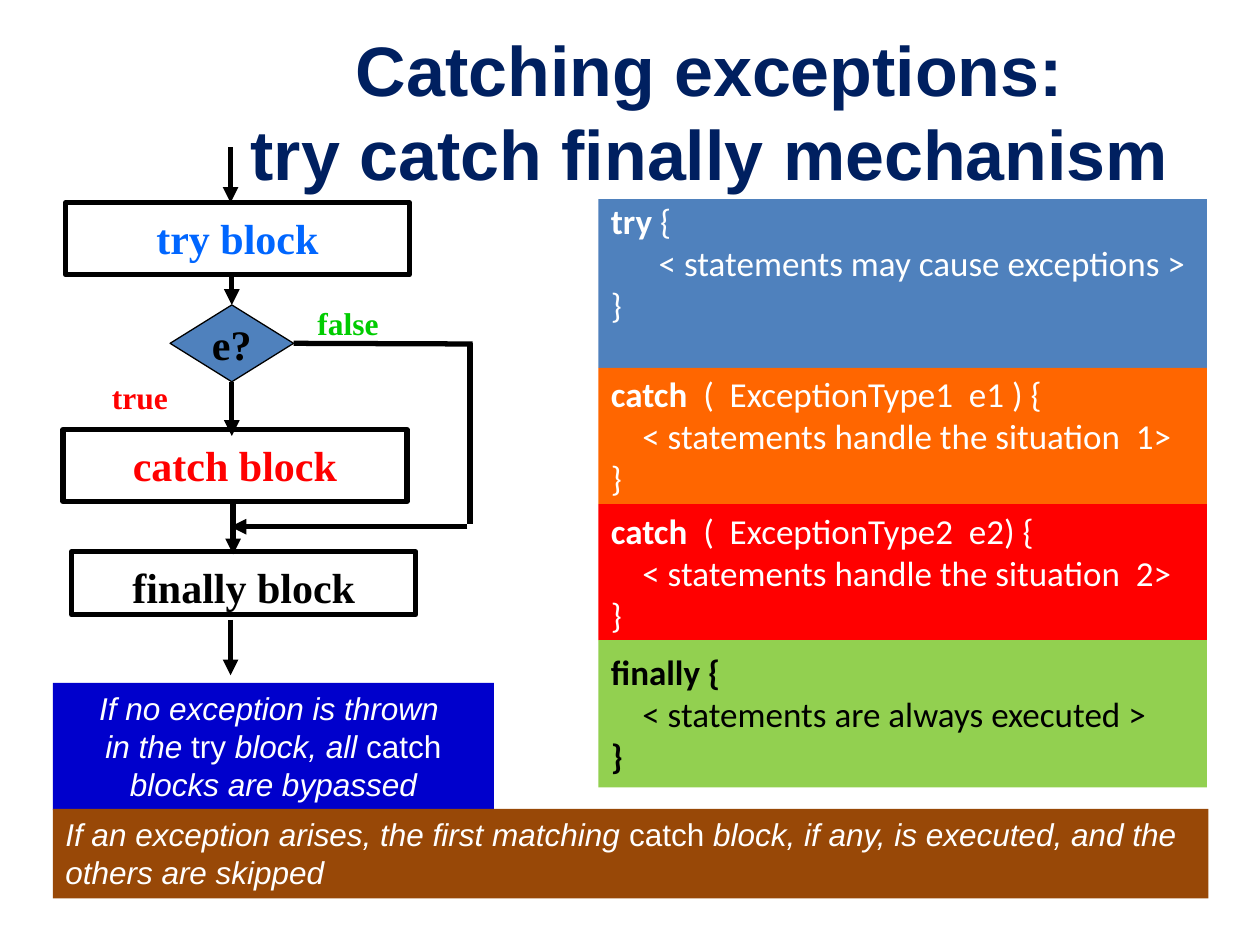
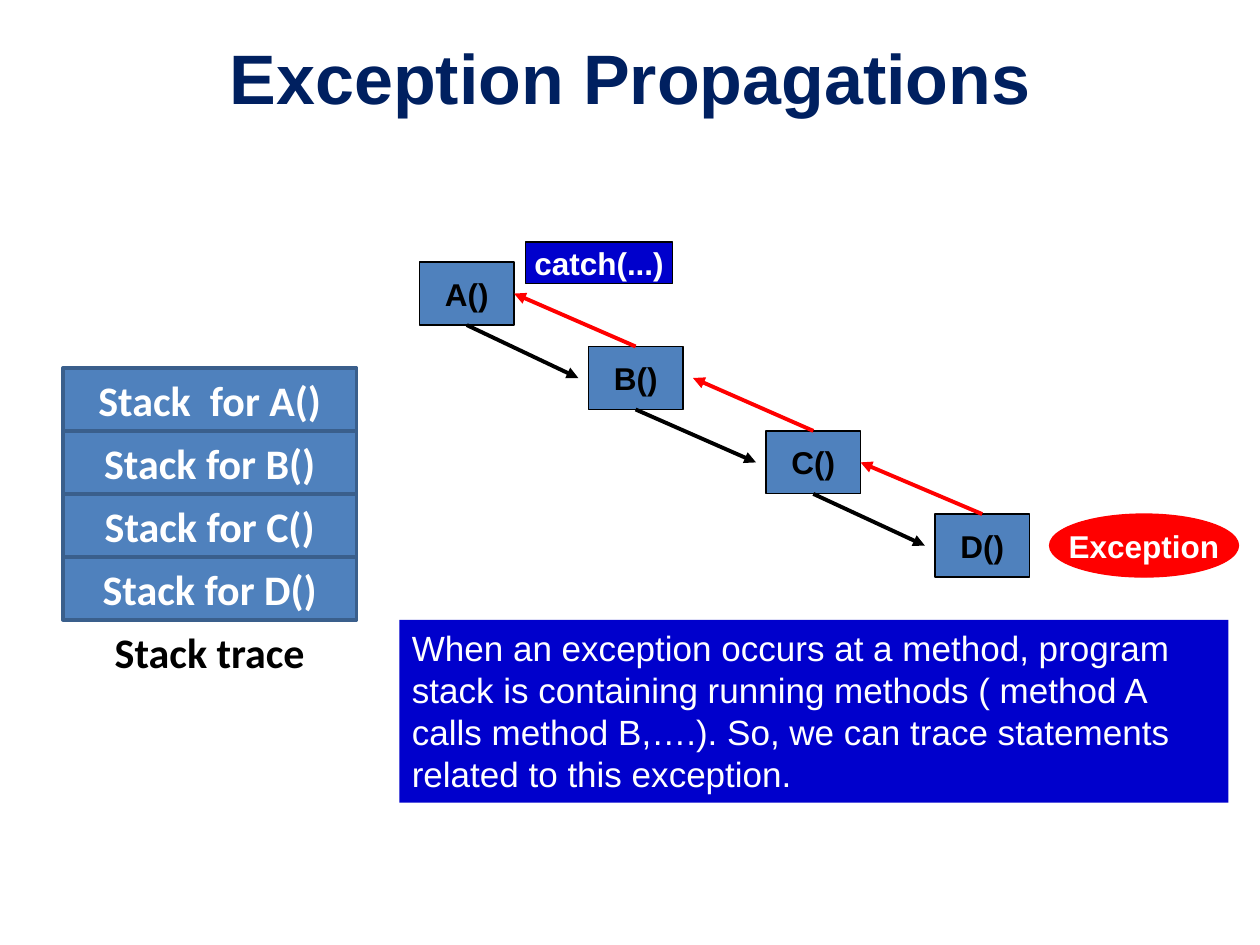
import pptx
import pptx.dml.color
import pptx.enum.shapes
import pptx.enum.text
import pptx.oxml
import pptx.util
from pptx.oxml.ns import qn
from lxml import etree

Inches = pptx.util.Inches
Pt = pptx.util.Pt
SHAPE = pptx.enum.shapes.MSO_SHAPE
ALIGN = pptx.enum.text.PP_ALIGN
ANCHOR = pptx.enum.text.MSO_ANCHOR

NAVY, BLUE, DEEP_BLUE, STACK_EDGE = "002060", "4F81BD", "0000CC", "3A5F8C"
RED, ORANGE, GREEN, BROWN = "FF0000", "FF6600", "92D050", "984807"
WHITE, BLACK = "FFFFFF", "000000"
SANS, BODY, SERIF = "Arial", "Calibri", "Times New Roman"
TOP, LEFT, BOTTOM, RIGHT = range(4)


def rgb(color):
    return pptx.dml.color.RGBColor.from_string(color)


def write(tf, paras, size, font, color, align=ALIGN.LEFT, indents=None):
    """Fill tf; each paragraph is a list of (text, style), style holding b and/or i."""
    for n, runs in enumerate(paras):
        p = tf.paragraphs[0] if n == 0 else tf.add_paragraph()
        p.alignment = align
        if indents and indents[n]:
            p._p.get_or_add_pPr().set("marL", str(Inches(indents[n])))
        for text, style in runs:
            for k, line in enumerate(text.split("\n")):
                if k:
                    p.add_line_break()
                r = p.add_run()
                r.text = line
                r.font.name, r.font.size = font, Pt(size)
                r.font.bold, r.font.italic = "b" in style, "i" in style
                r.font.color.rgb = rgb(color)


def add_title_slide(prs, title, at):
    slide = prs.slides.add_slide(prs.slide_layouts[5])
    sp = slide.shapes.title
    sp.left, sp.top, sp.width, sp.height = map(Inches, at)
    sp.text_frame.vertical_anchor = ANCHOR.MIDDLE
    write(sp.text_frame, [[(title, "b")]], 40, SANS, NAVY, ALIGN.CENTER)
    return slide


def add_box(slide, at, paras, size, font, color, fill=None, line=None, width=0.75,
            kind=SHAPE.RECTANGLE, align=ALIGN.CENTER, anchor=ANCHOR.MIDDLE,
            wrap=True, top=0.05, indents=None):
    sp = slide.shapes.add_shape(kind, *map(Inches, at))
    sp.shadow.inherit = False
    if fill:
        sp.fill.solid()
        sp.fill.fore_color.rgb = rgb(fill)
    else:
        sp.fill.background()
    if line:
        sp.line.color.rgb = rgb(line)
        sp.line.width = Pt(width)
    else:
        sp.line.fill.background()
    tf = sp.text_frame
    tf.word_wrap = wrap
    tf.vertical_anchor = anchor
    tf.margin_top = Inches(top)
    write(tf, paras, size, font, color, align, indents)
    return sp


def add_label(slide, at, text, color):
    tf = slide.shapes.add_textbox(*map(Inches, at)).text_frame
    tf.word_wrap = True
    tf.margin_top = Inches(0.07)
    write(tf, [[(text, "b")]], 18, SERIF, color)


def add_line(slide, start, end, color=BLACK, width=3, arrow="tailEnd", begin=None, finish=None):
    """Draw a line; arrow is headEnd, tailEnd or None, begin and finish are (shape, side)."""
    cx = slide.shapes.add_connector(pptx.enum.shapes.MSO_CONNECTOR.STRAIGHT,
                                    *map(Inches, start + end))
    if begin:
        cx.begin_connect(*begin)
    if finish:
        cx.end_connect(*finish)
    cx.line.color.rgb = rgb(color)
    cx.line.width = Pt(width)
    if arrow:
        etree.SubElement(cx.line._get_or_add_ln(), qn("a:" + arrow)).set("type", "triangle")
    etree.SubElement(cx._element.spPr, qn("a:effectLst"))


def add_code_blocks(slide):
    blocks = [
        (1.58, 1.34, BLUE, WHITE, [("try ", "b"), ("{", "")],
         "< statements may cause exceptions >", 0.38, "}"),
        (2.92, 1.08, ORANGE, WHITE, [("catch", "b"), ("  (  ExceptionType1  e1 ) {", "")],
         "< statements handle the situation  1>", 0.25, "}"),
        (4, 1.08, RED, WHITE, [("catch", "b"), ("  (  ExceptionType2  e2) {", "")],
         "< statements handle the situation  2>", 0.25, "}"),
        (5.08, 1.17, GREEN, BLACK, [("finally {", "b")],
         "< statements are always executed >", 0.25, "}"),
    ]
    for y, height, fill, color, opening, statement, indent, closing in blocks:
        is_try, is_finally = fill == BLUE, fill == GREEN
        paras = [opening, [(statement, "")], [(closing, "b" if is_finally else "")]]
        add_box(slide, (4.75, y, 4.83, height), paras, 20, BODY, color, fill,
                align=ALIGN.LEFT, anchor=ANCHOR.TOP if is_try else ANCHOR.MIDDLE,
                top=0 if is_try else 0.05, indents=(0, indent, 0))


def add_flowchart(slide):
    for text, x, y, height, color in (("try block", 0.52, 1.61, 0.57, "0066FF"),
                                      ("catch block", 0.5, 3.41, 0.57, RED),
                                      ("finally block", 0.57, 4.38, 0.5, BLACK)):
        add_box(slide, (x, y, 2.73, height), [[(text, "b")]], 24, SERIF, color,
                line=BLACK, width=3, anchor=ANCHOR.TOP, top=0.08)
    test = add_box(slide, (1.35, 2.42, 0.98, 0.61), [[("e?", "b")]], 24, SERIF, BLACK,
                   BLUE, BLACK, kind=SHAPE.DIAMOND, wrap=False)

    add_line(slide, (1.83, 1.17), (1.83, 1.61))
    add_line(slide, (1.84, 2.17), (1.84, 2.42), finish=(test, TOP))
    add_line(slide, (1.84, 3.03), (1.84, 3.46), begin=(test, BOTTOM))
    add_line(slide, (1.85, 3.97), (1.85, 4.4))
    add_line(slide, (1.83, 4.92), (1.83, 5.36))
    add_line(slide, (2.33, 2.73), (3.75, 2.73), arrow=None, begin=(test, RIGHT))
    add_line(slide, (3.73, 2.72), (3.73, 4.16), arrow=None)
    add_line(slide, (3.71, 4.18), (1.83, 4.18))

    add_label(slide, (2.42, 2.34, 1.28, 0.42), "false", "00CC00")
    add_label(slide, (0.79, 2.93, 1.28, 0.4), "true", RED)


def add_catching_slide(prs):
    slide = add_title_slide(prs, "Catching exceptions:\ntry catch finally mechanism",
                            (1.67, 0.17, 7.92, 1.42))
    add_code_blocks(slide)
    add_flowchart(slide)
    bypassed = [[("If no exception is thrown ", "i")],
                [("in the ", "i"), ("try ", ""), ("block, all ", "i"), ("catch ", ""),
                 ("blocks are bypassed", "i")]]
    add_box(slide, (0.42, 5.42, 3.5, 1.01), bypassed, 18, SANS, WHITE, DEEP_BLUE,
            anchor=ANCHOR.TOP)
    matching = [[("If an exception arises, the first matching ", "i"), ("catch ", ""),
                 ("block, if any, is executed, and the others are skipped", "i")]]
    add_box(slide, (0.42, 6.42, 9.17, 0.71), matching, 18, SANS, WHITE, BROWN,
            align=ALIGN.LEFT, anchor=ANCHOR.TOP)


def add_call_chain(slide):
    """Methods on a staircase, calls in black and the returning exception in red."""
    width, height, gap = 0.75, 0.5, 0.08
    corners = [(3.33, 2.08), (4.67, 2.75), (6.08, 3.42), (7.42, 4.08)]
    methods = [add_box(slide, (x, y, width, height), [[(name + "()", "b")]], 18, SANS,
                       BLACK, BLUE, BLACK, wrap=False)
               for name, (x, y) in zip("ABCD", corners)]
    for n in range(len(methods) - 1):
        (x, y), (next_x, next_y) = corners[n], corners[n + 1]
        caller, callee = methods[n], methods[n + 1]
        add_line(slide, (x + width / 2, y + height), (next_x - gap, next_y + height / 2),
                 width=2.25, begin=(caller, BOTTOM))
        detached = n == 1
        add_line(slide, (x + width + gap * detached, y + height / 2),
                 (next_x + width / 2, next_y), RED, 2.25, "headEnd",
                 begin=None if detached else (caller, RIGHT), finish=(callee, TOP))
    add_box(slide, (8.33, 4.08, 1.5, 0.5), [[("Exception", "b")]], 18, SANS, WHITE,
            RED, RED, kind=SHAPE.OVAL, wrap=False)
    add_box(slide, (4.17, 1.92, 1.17, 0.33), [[("catch(...)", "b")]], 18, SANS, WHITE,
            DEEP_BLUE, BLACK, wrap=False)


def add_stack(slide):
    x, y, width, height = 0.5, 2.92, 2.33, 0.5
    frames = ["Stack  for A()", "Stack for B()", "Stack for C()", "Stack for D()"]
    add_box(slide, (x, y + len(frames) * height, width, height), [[("Stack trace", "b")]],
            24, BODY, BLACK, WHITE)
    for n, text in enumerate(frames):
        add_box(slide, (x, y + n * height, width, height), [[(text, "b")]], 24, BODY,
                WHITE, BLUE, STACK_EDGE, 2)


def add_propagation_slide(prs):
    slide = add_title_slide(prs, "Exception Propagations", (0.5, 0.22, 9, 0.78))
    add_call_chain(slide)
    add_stack(slide)
    note = ("When an exception occurs at a method, program stack is containing running "
            "methods ( method A calls method B,….). So, we can trace statements related "
            "to this exception.")
    add_box(slide, (3.17, 4.92, 6.58, 1.45), [[(note, "")]], 20, SANS, WHITE, DEEP_BLUE,
            align=ALIGN.LEFT, anchor=ANCHOR.TOP)


def main():
    prs = pptx.Presentation()
    prs.slide_width, prs.slide_height = Inches(10), Inches(7.5)
    add_catching_slide(prs)
    add_propagation_slide(prs)
    prs.save("out.pptx")


if __name__ == "__main__":
    main()
